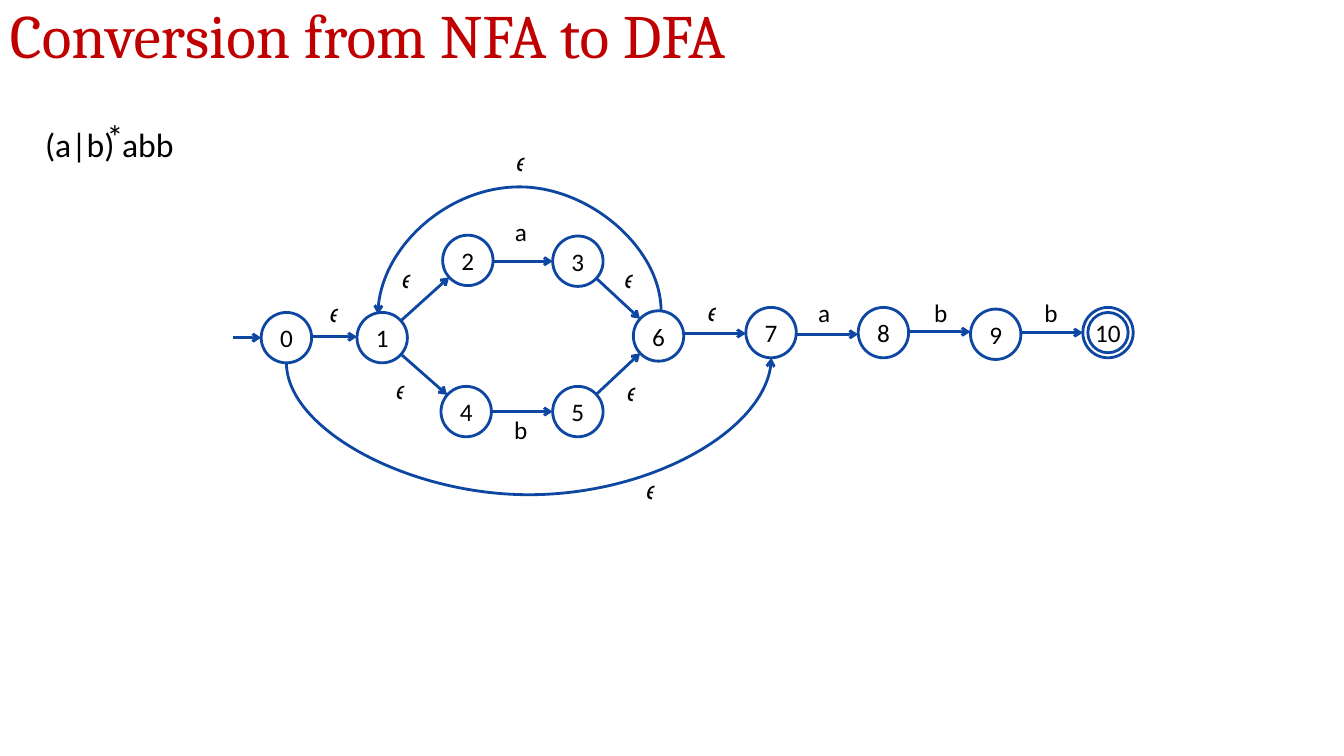
import math
from lxml import etree
from pptx import Presentation, util as u
from pptx.dml.color import RGBColor
from pptx.enum import shapes, text
from pptx.oxml import ns

RED = RGBColor(0xC0, 0x00, 0x00)
BLUE = RGBColor(0x0E, 0x47, 0xA1)
BLACK = RGBColor(0x00, 0x00, 0x00)
COLS, ROWS = 160, 90
RADIUS = 3
EPS = "𝜖"


def write(frame, words, size=18, font="Calibri", color=BLACK,
          align=text.PP_ALIGN.CENTER, anchor=text.MSO_ANCHOR.MIDDLE,
          spacing=None, inset=None):
    frame.word_wrap = True
    frame.vertical_anchor = anchor
    if inset is not None:
        frame.margin_left = frame.margin_right = inset
        frame.margin_top = frame.margin_bottom = inset
    para = frame.paragraphs[0]
    para.alignment = align
    para.line_spacing = spacing
    run = para.add_run()
    run.text = words
    run.font.size = u.Pt(size)
    run.font.name = font
    run.font.color.rgb = color


class Graph:
    """Draws on one slide, with lengths in grid columns and rows."""

    def __init__(self, deck):
        self.slide = deck.slides.add_slide(deck.slide_layouts[6])
        self.col = deck.slide_width / COLS
        self.row = deck.slide_height / ROWS
        self.nodes = {}

    def scale(self, x, y, *rest):
        units = (self.col, self.row) * 2
        return [round(v * unit) for v, unit in zip((x, y, *rest), units)]

    def box(self, words, x, y, w, h, **style):
        area = self.slide.shapes.add_textbox(*self.scale(x, y, w, h))
        write(area.text_frame, words, **style)

    def label(self, words, x, y):
        w, h = 4.7, 4.1
        self.box(words, x - w / 2, y - h / 2, w, h)

    def ring(self, x, y, r):
        area = self.scale(x - r, y - r, 2 * r, 2 * r)
        ring = self.slide.shapes.add_shape(shapes.MSO_SHAPE.OVAL, *area)
        ring.shadow.inherit = False
        ring.fill.background()
        ring.line.color.rgb = BLUE
        ring.line.width = u.Pt(2)
        return ring

    def node(self, name, x, y):
        self.nodes[name] = x, y
        write(self.ring(x, y, RADIUS).text_frame, str(name), inset=0)

    def arrow(self, start, end, kind=shapes.MSO_CONNECTOR.STRAIGHT):
        line = self.slide.shapes.add_connector(kind, *self.scale(*start, *end))
        line.line.color.rgb = BLUE
        line.line.width = u.Pt(2)
        tip = etree.SubElement(line.line._get_or_add_ln(), ns.qn("a:tailEnd"))
        tip.set("type", "arrow")
        etree.SubElement(line._element.spPr, ns.qn("a:effectLst"))
        return line

    def edge(self, a, b, level=None):
        """Join two nodes rim to rim, or along a level row."""
        (ax, ay), (bx, by) = self.nodes[a], self.nodes[b]
        if level is not None:
            ay = by = level
        gap = math.dist((ax, ay), (bx, by))
        dx, dy = RADIUS * (bx - ax) / gap, RADIUS * (by - ay) / gap
        self.arrow((ax + dx, ay + dy), (bx - dx, by - dy))

    def arc(self, start, end, bend, turn):
        """Curve over or under the graph, drawn upright and then turned."""
        (ax, ay), (bx, by) = start, end
        w, h = abs(by - ay), abs(bx - ax)
        x, y = (ax + bx) / 2, (ay + by) / 2
        line = self.arrow((x + w / 2, y + h / 2), (x - w / 2, y - h / 2),
                          shapes.MSO_CONNECTOR.CURVE)
        props = line._element.spPr
        props.find(ns.qn("a:xfrm")).set("rot", str(turn * 60000))
        geom = props.find(ns.qn("a:prstGeom"))
        guides = geom.find(ns.qn("a:avLst"))
        if guides is None:
            guides = etree.SubElement(geom, ns.qn("a:avLst"))
        guide = etree.SubElement(guides, ns.qn("a:gd"))
        guide.set("name", "adj1")
        guide.set("fmla", f"val {round(-bend / w * 100000)}")


def main():
    deck = Presentation()
    deck.slide_width, deck.slide_height = u.Inches(13.33), u.Inches(7.5)
    graph = Graph(deck)

    # Title and expression
    graph.box("Conversion from NFA to DFA", 0, 0, COLS, 9.4, size=44,
              font="Cambria", color=RED, align=text.PP_ALIGN.LEFT,
              anchor=text.MSO_ANCHOR.TOP, spacing=0.9)
    for words, x, y, w in (("(a|b)", 3, 14.6, 13), ("*", 11.5, 13.7, 4.4),
                           ("abb", 13.1, 14.6, 9)):
        graph.box(words, x, y, w, 5, size=24)

    # States
    spots = [(34.1, 40.2), (45.5, 40.2), (55.7, 31), (68.8, 31.1),
             (55.5, 49), (68.8, 49), (78.4, 40)]
    spots += [(91.8 + 13.37 * i, y)
              for i, y in enumerate((39.6, 39.6, 39.8, 39.6))]
    for name, spot in enumerate(spots):
        graph.node(name, *spot)
    graph.ring(*spots[-1], 2.4)

    # Straight moves
    graph.arrow((27.8, 40.2), (31.1, 40.2))
    for a, b, level in ((0, 1, 40.1), (1, 2, None), (1, 4, None),
                        (2, 3, 31.1), (4, 5, 49), (3, 6, None),
                        (5, 6, None), (6, 7, 39.7), (7, 8, 39.8),
                        (8, 9, 39.5), (9, 10, 39.6)):
        graph.edge(a, b, level)

    # Curved moves
    graph.arc((78.7, 37), (45, 37.4), 14.7, 270)
    graph.arc((34.1, 43.2), (91.8, 42.6), 15.7, 90)

    # Labels of the moves
    for words, x, y in ((EPS, 39.8, 37.2), (EPS, 48.4, 33.2),
                        (EPS, 47.7, 46.4), ("a", 62, 27.6), ("b", 62, 51.1),
                        (EPS, 74.9, 33.1), (EPS, 75.2, 46.6),
                        (EPS, 84.8, 37.1), ("a", 98.1, 37.2),
                        ("b", 112, 37.2), ("b", 125.1, 37.2),
                        (EPS, 62, 19.2), (EPS, 77.5, 58.3)):
        graph.label(words, x, y)

    deck.save("out.pptx")


if __name__ == "__main__":
    main()
